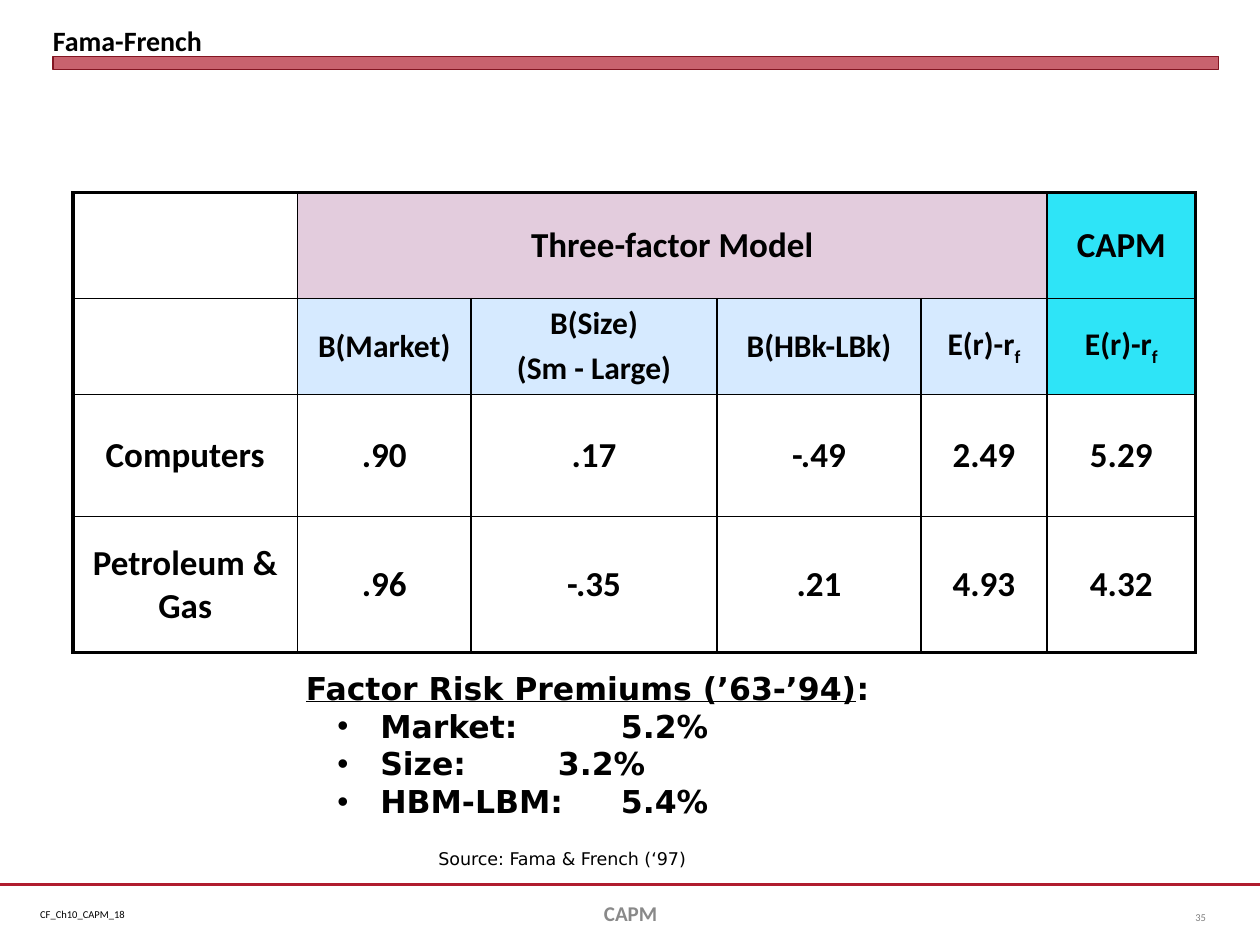
"""Build the Fama-French slide comparing three-factor and CAPM estimates."""
from lxml.etree import SubElement
from pptx import Presentation
from pptx.dml.color import RGBColor
from pptx.enum.shapes import MSO_CONNECTOR, MSO_SHAPE
from pptx.enum.text import MSO_ANCHOR, MSO_AUTO_SIZE, PP_ALIGN
from pptx.oxml.ns import qn
from pptx.util import Inches, Pt

COLORS = {"black": "000000", "red": "B01C2E", "dark_red": "821522", "pink": "E3CCDD",
          "cyan": "2EE4F7", "blue": "D6EAFF", "gray": "898989", "page": "808080"}
TITLE = "Fama-French"
ROWS = [
    ["", "Three-factor Model", "", "", "", "CAPM"],
    ["", "B(Market)", "B(Size)\n(Sm - Large)", "B(HBk-LBk)", "E(r)-r_f", "E(r)-r_f"],
    ["Computers", ".90", ".17", "-.49", "2.49", "5.29"],
    ["Petroleum & Gas", ".96", "-.35", ".21", "4.93", "4.32"],
]
FILLS = [[None] + ["pink"] * 4 + ["cyan"], [None] + ["blue"] * 4 + ["cyan"]]
COL_WIDTHS = [1.78, 1.38, 1.95, 1.62, 1, 1.18]
ROW_HEIGHTS = [0.84, 0.76, 0.97, 1.08]
ROW_SIZES = [20, 18, 20, 20]
PREMIUM_HEADING = "Factor Risk Premiums (’63-’94)"
PREMIUMS = ["Market:\t\t5.2%", "Size:\t\t3.2%", "HBM-LBM:\t5.4%"]
LABELS = [
    ("CF_Ch10_CAPM_18", (0.22, 7.16, 0.88, 0.2), 6, "Calibri", "black", False,
     PP_ALIGN.LEFT, MSO_ANCHOR.TOP, False),
    ("CAPM", (3.42, 7.05, 3.17, 0.4), 12, "Calibri", "gray", True,
     PP_ALIGN.CENTER, MSO_ANCHOR.MIDDLE, True),
    ("Source: Fama & French (‘97)", (3.38, 6.68, 2.29, 0.27), 10, "DejaVu Sans", "black", False,
     PP_ALIGN.LEFT, MSO_ANCHOR.TOP, False),
    ("35", (9.17, 7.08, 0.5, 0.4), 6, "Calibri", "page", False,
     PP_ALIGN.RIGHT, MSO_ANCHOR.MIDDLE, True),
]


def rgb(name):
    return RGBColor.from_string(COLORS[name])


def style(font, size, name="Calibri", color="black", bold=True):
    font.size, font.name, font.bold = Pt(size), name, bold
    font.color.rgb = rgb(color)


def add_title(s):
    title = s.shapes.title
    title.left, title.top, title.width, title.height = map(Inches, (0.42, 0.05, 9.25, 0.4))
    tf = title.text_frame
    tf.text = TITLE
    tf.auto_size, tf.vertical_anchor = MSO_AUTO_SIZE.NONE, MSO_ANCHOR.BOTTOM
    tf.margin_left = tf.margin_top = tf.margin_right = tf.margin_bottom = 0
    p = tf.paragraphs[0]
    p.alignment = PP_ALIGN.LEFT
    style(p.runs[0].font, 16)


def add_rules(s):
    line = s.shapes.add_connector(MSO_CONNECTOR.STRAIGHT, 0, Inches(7.02), Inches(10), Inches(7.02))
    line.line.color.rgb, line.line.width = rgb("red"), Pt(1.25)
    SubElement(line._element.spPr, qn("a:effectLst"))
    bar = s.shapes.add_shape(MSO_SHAPE.RECTANGLE, *map(Inches, (0.42, 0.45, 9.25, 0.1)))
    bar.shadow.inherit = False
    bar.fill.solid()
    bar.fill.fore_color.rgb = rgb("red")
    color = bar._element.spPr.find(qn("a:solidFill")).find(qn("a:srgbClr"))
    SubElement(color, qn("a:alpha"), val="69000")
    bar.line.color.rgb, bar.line.width = rgb("dark_red"), 0


def set_borders(cell, outer):
    tc_pr = cell._tc.get_or_add_tcPr()
    for side in "LRTB":
        width = Pt(2.25 if side in outer else 1)
        ln = SubElement(tc_pr, qn(f"a:ln{side}"), w=str(width))
        SubElement(SubElement(ln, qn("a:solidFill")), qn("a:srgbClr"), val=COLORS["black"])


def fill_cell(cell, text, size, fill):
    if fill:
        cell.fill.solid()
        cell.fill.fore_color.rgb = rgb(fill)
    else:
        cell.fill.background()
    cell.vertical_anchor = MSO_ANCHOR.MIDDLE
    cell.text = text.replace("_f", "")
    for i, p in enumerate(cell.text_frame.paragraphs):
        p.alignment = PP_ALIGN.CENTER
        if i:
            p.space_before = Pt(size * 0.2)
        if text.endswith("_f"):
            r = p.add_run()
            r.text = "f"
            r._r.get_or_add_rPr().set("baseline", "-25000")
        for r in p.runs:
            style(r.font, size)


def add_factor_table(s):
    n_rows, n_cols = len(ROWS), len(COL_WIDTHS)
    table = s.shapes.add_table(n_rows, n_cols, Inches(0.58), Inches(1.53),
                               Inches(sum(COL_WIDTHS)), Inches(sum(ROW_HEIGHTS))).table
    table.first_row = table.horz_banding = False
    for col, width in zip(table.columns, COL_WIDTHS):
        col.width = Inches(width)
    for row, height in zip(table.rows, ROW_HEIGHTS):
        row.height = Inches(height)
    for i, values in enumerate(ROWS):
        fills = FILLS[i] if i < len(FILLS) else [None] * n_cols
        for j, text in enumerate(values):
            cell = table.cell(i, j)
            edges = {"L": j == 0, "R": j == n_cols - 1, "T": i == 0, "B": i == n_rows - 1}
            set_borders(cell, [side for side, on in edges.items() if on])
            fill_cell(cell, text, ROW_SIZES[i], fills[j])
    table.cell(0, 1).merge(table.cell(0, 4))


def add_premiums(s):
    tf = s.shapes.add_textbox(*map(Inches, (2.33, 5.26, 5.5, 1.6))).text_frame
    tf.word_wrap = True
    tf.text = PREMIUM_HEADING
    p = tf.paragraphs[0]
    p.add_run().text = ":"
    for r in p.runs:
        style(r.font, 18, "DejaVu Sans")
    p.runs[0].font.underline = True
    for text in PREMIUMS:
        p = tf.add_paragraph()
        p.text, p.level = text, 1
        p_pr = p._p.get_or_add_pPr()
        p_pr.set("marL", str(Inches(0.59)))
        p_pr.set("indent", str(Inches(-0.34)))
        SubElement(p_pr, qn("a:buFont"), typeface="Arial")
        SubElement(p_pr, qn("a:buChar"), char="•")
        for r in p.runs:
            style(r.font, 18, "DejaVu Sans")


def add_label(s, text, box, size, font, color, bold, align, anchor, wrap):
    tf = s.shapes.add_textbox(*map(Inches, box)).text_frame
    tf.word_wrap, tf.vertical_anchor = wrap, anchor
    tf.text = text
    p = tf.paragraphs[0]
    p.alignment = align
    style(p.runs[0].font, size, font, color, bold)


def main():
    prs = Presentation()
    prs.slide_width, prs.slide_height = Inches(10), Inches(7.5)
    s = prs.slides.add_slide(prs.slide_layouts[5])
    add_rules(s)
    add_title(s)
    add_factor_table(s)
    add_premiums(s)
    for label in LABELS:
        add_label(s, *label)
    prs.save("out.pptx")


if __name__ == "__main__":
    main()
